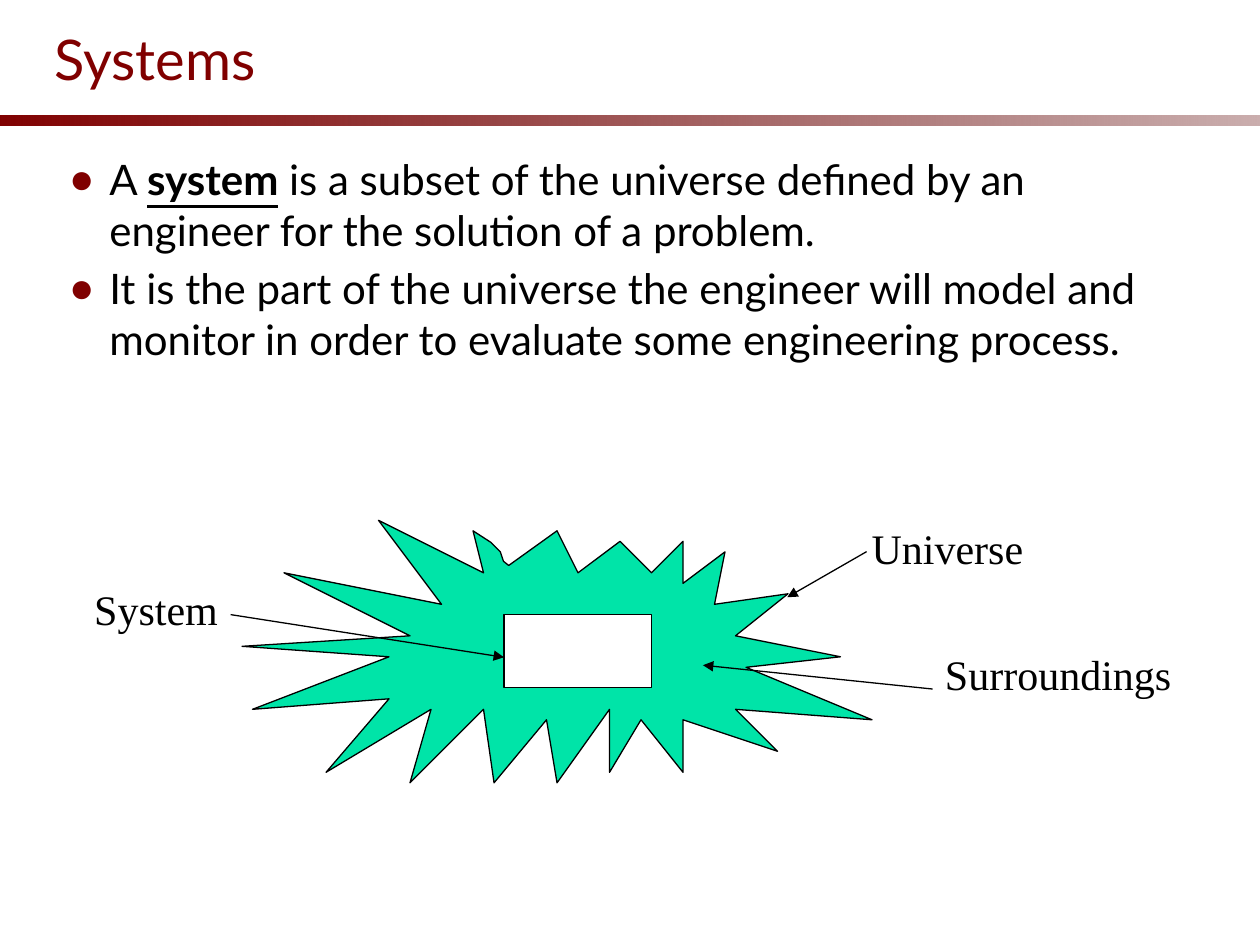
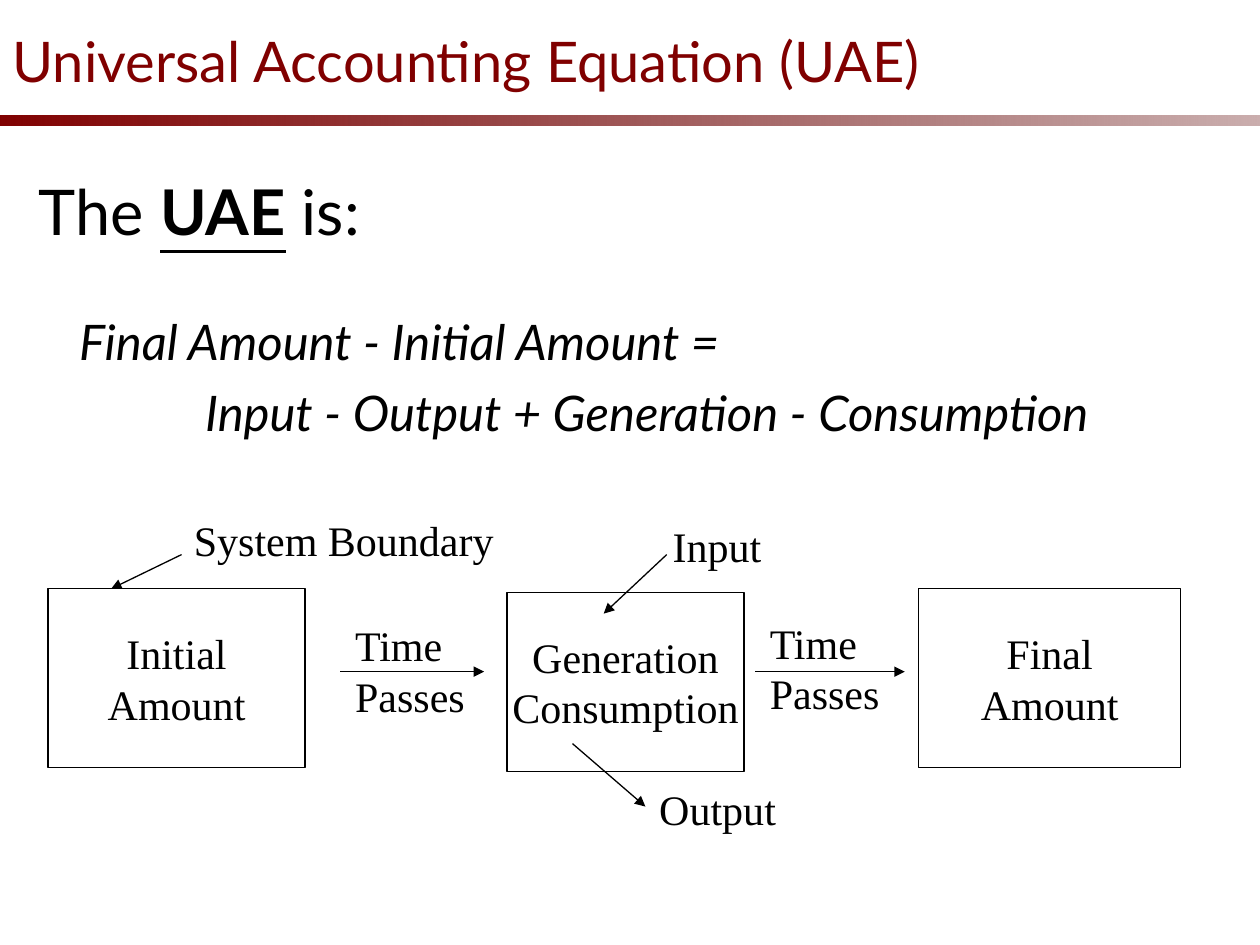
"""Build two slides on systems and the universal accounting equation."""
import pptx
import pptx.dml.color
import pptx.enum.dml
import pptx.enum.shapes
import pptx.enum.text
import pptx.oxml.ns
import pptx.util
from lxml import etree

Cm = pptx.util.Cm
Pt = pptx.util.Pt
RGBColor = pptx.dml.color.RGBColor
Align = pptx.enum.text.PP_ALIGN
Anchor = pptx.enum.text.MSO_ANCHOR
AutoSize = pptx.enum.text.MSO_AUTO_SIZE
RECTANGLE = pptx.enum.shapes.MSO_SHAPE.RECTANGLE
STRAIGHT = pptx.enum.shapes.MSO_CONNECTOR.STRAIGHT
qn = pptx.oxml.ns.qn

MAROON = RGBColor(0x80, 0x00, 0x00)
DARK_MAROON = RGBColor(0x5C, 0x00, 0x00)
GREEN = RGBColor(0x00, 0xE4, 0xA8)
BLACK = RGBColor(0x00, 0x00, 0x00)
WHITE = RGBColor(0xFF, 0xFF, 0xFF)
HEADING_FONT = "Lato"
LABEL_FONT = "Times New Roman"
HANGING = 0.81
LABEL_HEIGHT = 1.27
BOX_HEIGHT = 3.61

UNIVERSE_GRID = [
    (22, 1), (23.7, 2.1), (24.6, 3), (24.9, 3.9), (25.4, 4.3), (30, 1), (32, 5),
    (36, 2), (39, 5), (42, 2), (42, 6), (46, 3), (45, 8), (52, 7), (47, 11),
    (57, 13), (48, 14), (60, 19), (47, 18), (51, 22), (42, 19), (42, 24),
    (38, 19), (35, 24), (35, 18), (30, 25), (29, 19), (24, 25), (23, 18),
    (16, 25), (18, 18), (8, 24), (14, 17), (1, 18), (14, 13), (0, 12),
    (16, 11), (4, 5), (19, 8), (13, 0), (23, 5),
]


def add_text(frame, text, *, font=LABEL_FONT, size=24, color=BLACK, align=Align.LEFT,
             key="", italic=False, before=0):
    """Add one paragraph, with the key term bold and underlined."""
    last = frame.paragraphs[-1]
    paragraph = frame.add_paragraph() if last.runs else last
    paragraph.alignment = align
    paragraph.space_before = Pt(before)
    parts = text.partition(key) if key else (text,)
    for part in parts:
        run = paragraph.add_run()
        run.text = part
        run.font.name = font
        run.font.size = Pt(size)
        run.font.color.rgb = color
        run.font.italic = italic
        run.font.bold = run.font.underline = bool(key) and part == key
    return paragraph


def set_indent(paragraph, left, first, bullet=None):
    """Set the indents in centimetres and a bullet or none."""
    properties = paragraph._p.get_or_add_pPr()
    properties.set("marL", str(Cm(left)))
    properties.set("indent", str(Cm(first)))
    if bullet:
        color = etree.SubElement(properties, qn("a:buClr"))
        etree.SubElement(color, qn("a:srgbClr"), val=str(MAROON))
        etree.SubElement(properties, qn("a:buChar"), char=bullet)
    else:
        etree.SubElement(properties, qn("a:buNone"))


def place(shape, left, top, width, height):
    """Move and size a shape in centimetres."""
    shape.left, shape.top = Cm(left), Cm(top)
    shape.width, shape.height = Cm(width), Cm(height)


def style_shape(shape, fill):
    """Give a shape a flat fill and a thin black outline."""
    shape.shadow.inherit = False
    shape.fill.solid()
    shape.fill.fore_color.rgb = fill
    shape.line.color.rgb = BLACK
    shape.line.width = Pt(0.75)


def add_band(slide):
    """Draw the fading band under the title."""
    band = slide.shapes.add_shape(RECTANGLE, Cm(-0.05), Cm(2.33), Cm(25.45), Cm(0.21))
    band.shadow.inherit = False
    band.line.fill.background()
    band.fill.gradient()
    band.fill.gradient_angle = 0
    for stop, color in zip(band.fill.gradient_stops, (MAROON, DARK_MAROON)):
        stop.color.rgb = color
    end_color = list(band._element.spPr.iter(qn("a:srgbClr")))[-1]
    etree.SubElement(end_color, qn("a:alpha"), val="32000")


def start_slide(presentation, title, title_box, body_box):
    """Add a slide with band and title, and return it with its body frame."""
    slide = presentation.slides.add_slide(presentation.slide_layouts[1])
    add_band(slide)
    heading, body = slide.placeholders
    for placeholder, box in ((heading, title_box), (body, body_box)):
        place(placeholder, *box)
        placeholder.text_frame.word_wrap = True
        placeholder.text_frame.auto_size = AutoSize.NONE
    heading.text_frame.vertical_anchor = Anchor.MIDDLE
    add_text(heading.text_frame, title, font=HEADING_FONT, size=32, color=MAROON)
    return slide, body.text_frame


def add_box(slide, left, top, width, height, lines=()):
    """Draw a white box with centred lines."""
    box = slide.shapes.add_shape(RECTANGLE, Cm(left), Cm(top), Cm(width), Cm(height))
    style_shape(box, WHITE)
    box.text_frame.word_wrap = False
    box.text_frame.vertical_anchor = Anchor.MIDDLE
    for line in lines:
        add_text(box.text_frame, line, align=Align.CENTER)


def add_label(slide, left, top, width, *lines):
    """Add a label that grows with its lines."""
    height = LABEL_HEIGHT if len(lines) == 1 else 2.29
    label = slide.shapes.add_textbox(Cm(left), Cm(top), Cm(width), Cm(height))
    label.text_frame.word_wrap = False
    label.text_frame.auto_size = AutoSize.SHAPE_TO_FIT_TEXT
    for line in lines:
        add_text(label.text_frame, line)


def add_arrow(slide, start_x, start_y, end_x, end_y):
    """Draw a thin arrow."""
    arrow = slide.shapes.add_connector(
        STRAIGHT, Cm(start_x), Cm(start_y), Cm(end_x), Cm(end_y))
    arrow.line.color.rgb = BLACK
    arrow.line.width = Pt(0.75)
    etree.SubElement(arrow.line._get_or_add_ln(), qn("a:tailEnd"), type="triangle")
    etree.SubElement(arrow._element.spPr, qn("a:effectLst"))


def add_universe(slide, left, top, width):
    """Draw the jagged universe on a grid 60 steps wide."""
    step = Cm(width) / 60
    points = [(Cm(left) + x * step, Cm(top) + y * step) for x, y in UNIVERSE_GRID]
    builder = slide.shapes.build_freeform(*points[0])
    builder.add_line_segments(points[1:], close=True)
    style_shape(builder.convert_to_shape(), GREEN)


def add_system_diagram(slide, left, top):
    """Draw the system inside its surroundings and the universe."""
    add_universe(slide, left + 3.23, top + 0.08, 12.7)
    add_box(slide, left + 8.51, top + 1.98, 2.97, 1.47)
    for x, y, width, name in (
        (15.67, 0, 3.56, "Universe"),
        (17.15, 2.54, 5.08, "Surroundings"),
        (0, 1.22, 3, "System"),
    ):
        add_label(slide, left + x, top + y, width, name)
    for x1, y1, x2, y2 in (
        (3, 1.98, 8.51, 2.84), (17.15, 3.48, 12.52, 3), (15.82, 0.71, 14.22, 1.63),
    ):
        add_arrow(slide, left + x1, top + y1, left + x2, top + y2)


def add_accounting_diagram(slide, left, top):
    """Draw the amounts before, during and after time passes."""
    for x, y, width, lines in (
        (0, 1.63, 5.18, ("Initial", "Amount")),
        (9.25, 1.7, 4.78, ("Generation", "Consumption")),
        (17.55, 1.63, 5.28, ("Final", "Amount")),
    ):
        add_box(slide, left + x, top + y, width, BOX_HEIGHT, lines)
    for x, y, width, lines in (
        (5.94, 2.13, 2.72, ("Time", "Passes")),
        (14.3, 2.08, 2.72, ("Time", "Passes")),
        (12.34, 0.13, 2.29, ("Input",)),
        (12.07, 5.44, 2.87, ("Output",)),
        (2.69, 0, 6.55, ("System Boundary",)),
    ):
        add_label(slide, left + x, top + y, width, *lines)
    for x1, y1, x2, y2 in (
        (5.89, 3.3, 8.79, 3.3), (14.25, 3.3, 17.27, 3.3), (12.47, 0.94, 11.2, 2.13),
        (10.57, 4.75, 12.04, 6.02), (2.69, 0.94, 1.27, 1.63),
    ):
        add_arrow(slide, left + x1, top + y1, left + x2, top + y2)


def build_systems_slide(presentation):
    """Build the slide that defines a system."""
    slide, body = start_slide(
        presentation, "Systems", (0.84, 0, 22.86, 2.34), (1.14, 2.97, 22.71, 6.81))
    for text, key in (
        ("A system is a subset of the universe defined by an engineer "
         "for the solution of a problem.", "system"),
        ("It is the part of the universe the engineer will model and monitor "
         "in order to evaluate some engineering process.", ""),
    ):
        paragraph = add_text(body, text, font=HEADING_FONT, key=key, before=4.8)
        set_indent(paragraph, HANGING, -HANGING, "●")
    add_system_diagram(slide, 1.65, 10.41)


def build_equation_slide(presentation):
    """Build the slide that states the accounting equation."""
    slide, body = start_slide(
        presentation, "Universal Accounting Equation (UAE)",
        (0, 0.05, 22.23, 2.31), (0.53, 3.35, 23.29, 12.9))
    statement = add_text(body, "The UAE is:", font=HEADING_FONT, size=36,
                         key="UAE", before=7.2)
    set_indent(statement, HANGING, -HANGING)
    for text, before, indent in (
        ("Final Amount - Initial Amount =", 36, HANGING),
        ("Input - Output + Generation - Consumption", 7, HANGING + 2.54),
    ):
        paragraph = add_text(body, text, font=HEADING_FONT, size=28,
                             italic=True, before=before)
        set_indent(paragraph, indent, 0)
    add_accounting_diagram(slide, 0.97, 10.24)


def main():
    """Build and save the presentation."""
    presentation = pptx.Presentation()
    presentation.slide_width, presentation.slide_height = Cm(25.4), Cm(19.05)
    build_systems_slide(presentation)
    build_equation_slide(presentation)
    presentation.save("out.pptx")


if __name__ == "__main__":
    main()
